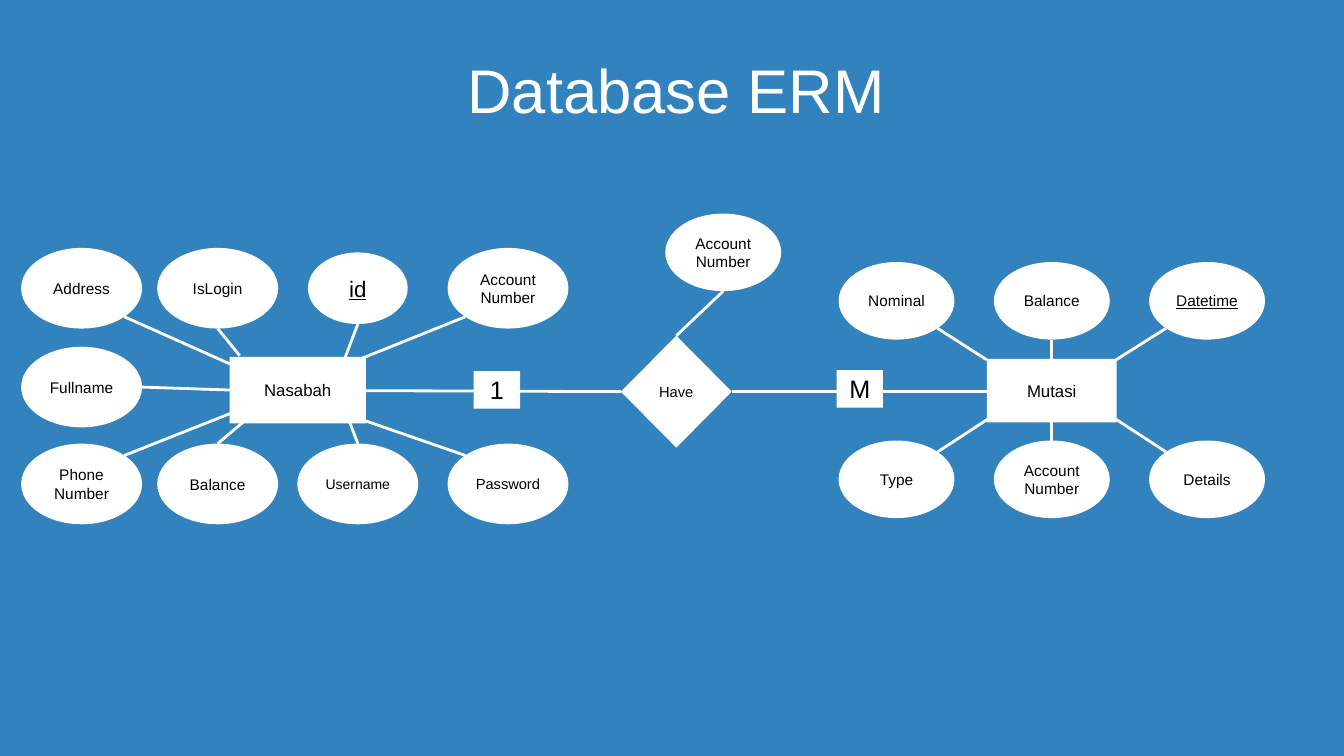
from collections import namedtuple
from math import sqrt

from lxml import etree
from pptx import Presentation
from pptx.dml.color import RGBColor
from pptx.enum.shapes import MSO_CONNECTOR, MSO_SHAPE
from pptx.enum.text import MSO_ANCHOR, MSO_AUTO_SIZE, PP_ALIGN
from pptx.oxml.ns import qn
from pptx.util import Pt

RECT = MSO_SHAPE.RECTANGLE
ELLIPSE = MSO_SHAPE.OVAL
DIAMOND = MSO_SHAPE.DIAMOND
STRAIGHT = MSO_CONNECTOR.STRAIGHT
MIDDLE = MSO_ANCHOR.MIDDLE
CENTER = PP_ALIGN.CENTER
NO_FIT = MSO_AUTO_SIZE.NONE

COLORS = {"background": "3282BE", "node": "FFFFFF", "label": "000000", "title": "FFFFFF"}
FONT = "Arial"
DIAGONAL = 1 / sqrt(2)

Box = namedtuple("Box", "left top width height")
Attribute = namedtuple("Attribute", "label x y side target size underline", defaults=(11, False))


def color(name):
    return RGBColor.from_string(COLORS[name])


def write(frame, label, size, shade, underline=False):
    frame.word_wrap = True
    frame.auto_size = NO_FIT
    frame.vertical_anchor = MIDDLE
    paragraph = frame.paragraphs[0]
    paragraph.alignment = CENTER
    run = paragraph.add_run()
    run.text = label
    run.font.name = FONT
    run.font.size = Pt(size)
    run.font.color.rgb = color(shade)
    if underline:
        run.font.underline = True
    return paragraph


def add_node(slide, kind, box, label, size, underline=False):
    node = slide.shapes.add_shape(kind, *map(Pt, box))
    node.shadow.inherit = False
    node.fill.solid()
    node.fill.fore_color.rgb = color("node")
    node.line.fill.background()
    node.text_frame.margin_left = node.text_frame.margin_right = 0
    write(node.text_frame, label, size, "label", underline)


def add_link(slide, start, end):
    link = slide.shapes.add_connector(STRAIGHT, *map(Pt, (*start, *end)))
    link.line.color.rgb = color("node")
    link.line.width = Pt(2)
    etree.SubElement(link._element.spPr, qn("a:effectLst"))


def add_attribute(slide, box, attribute, width, height):
    x, y = box.left + attribute.x, box.top + attribute.y
    side_x, side_y = attribute.side
    reach = DIAGONAL if side_x and side_y else 1
    start = (x + side_x * reach * width / 2, y + side_y * reach * height / 2)
    target_x, target_y = attribute.target
    add_link(slide, start, (box.left + target_x, box.top + target_y))
    oval = Box(x - width / 2, y - height / 2, width, height)
    add_node(slide, ELLIPSE, oval, attribute.label, attribute.size, attribute.underline)


def add_title(slide, box):
    title = slide.shapes.title
    title.left, title.top, title.width, title.height = map(Pt, box)
    paragraph = write(title.text_frame, "Database ERM", 44, "title")
    paragraph.line_spacing = 0.9


def add_nasabah(slide, box):
    first, second, third, fourth = 43.2, 140.4, 240.5, 347.8
    upper, middle, lower = 28.8, 99.4, 168.6
    attributes = [
        Attribute("Address", first, upper, (1, 1), (149, 82.8)),
        Attribute("IsLogin", second, upper, (0, 1), (156.2, 77)),
        Attribute("Account Number", fourth, upper, (-1, 1), (242.6, 79.2)),
        Attribute("Fullname", first, middle, (1, 0), (149, 101.5)),
        Attribute("Phone Number", first, lower, (1, -1), (149.8, 118.1)),
        Attribute("Balance", second, lower, (0, -1), (158.4, 124.6)),
        Attribute("Username", third, lower, (0, -1), (234.7, 124.6), 10),
        Attribute("Password", fourth, lower, (-1, -1), (230.4, 118.1), 10.5),
    ]
    for attribute in attributes:
        add_attribute(slide, box, attribute, 86.4, 57.6)
    key = Attribute("id", third, upper, (0, 1), (229.7, 82.8), 16, True)
    add_attribute(slide, box, key, 71.3, 51.1)
    entity = Box(box.left + 149, box.top + 77.8, 97.2, 47.5)
    add_node(slide, RECT, entity, "Nasabah", 12)


def add_mutasi(slide, box):
    width, height = 82.8, 55.4
    left, right = width / 2, box.width - width / 2
    center = box.width / 2
    upper, lower = height / 2, box.height - height / 2
    attributes = [
        Attribute("Nominal", left, upper, (1, 1), (105.8, 69.8)),
        Attribute("Balance", center, upper, (0, 1), (center, 69.1)),
        Attribute("Datetime", right, upper, (-1, 1), (193.7, 72.7), 11, True),
        Attribute("Type", left, lower, (1, -1), (110.9, 109.4)),
        Attribute("Account Number", center, lower, (0, -1), (center, 114.5)),
        Attribute("Details", right, lower, (-1, -1), (193.7, 109.4)),
    ]
    for attribute in attributes:
        add_attribute(slide, box, attribute, width, height)
    entity = Box(box.left + center - 46.4, box.top + 69.1, 92.8, 45.4)
    add_node(slide, RECT, entity, "Mutasi", 12)


def add_relationship(slide, box):
    diamond = Box(box.left + 182.1, box.top + 87.2, 79.2, 79.9)
    axis = diamond.top + diamond.height / 2
    add_link(slide, (box.left, axis - 0.7), (diamond.left, axis))
    add_link(slide, (diamond.left + diamond.width, axis), (box.left + box.width, axis))
    tip = (diamond.left + diamond.width / 2 - box.left, diamond.top - box.top)
    account = Attribute("Account Number", 255.2, 27.7, (0, 1), tip)
    add_attribute(slide, box, account, 82.8, 55.4)
    add_node(slide, DIAMOND, diamond, "Have", 10.5)
    for label, x, y in (("1", 77, 112.4), ("M", 336.2, 111.7)):
        cardinality = Box(box.left + x, box.top + y, 33.1, 26.9)
        add_node(slide, RECT, cardinality, label, 18)


def main():
    presentation = Presentation()
    presentation.slide_width = Pt(960)
    presentation.slide_height = Pt(540)
    slide = presentation.slides.add_slide(presentation.slide_layouts[5])
    slide.background.fill.solid()
    slide.background.fill.fore_color.rgb = color("background")
    add_title(slide, Box(27.4, 38.2, 911.5, 56.9))
    add_relationship(slide, Box(261.4, 152.6, 443.5, 167.1))
    add_nasabah(slide, Box(15.1, 177.1, 391, 197.4))
    add_mutasi(slide, Box(599, 187.2, 304.6, 182.9))
    presentation.save("out.pptx")


if __name__ == "__main__":
    main()
